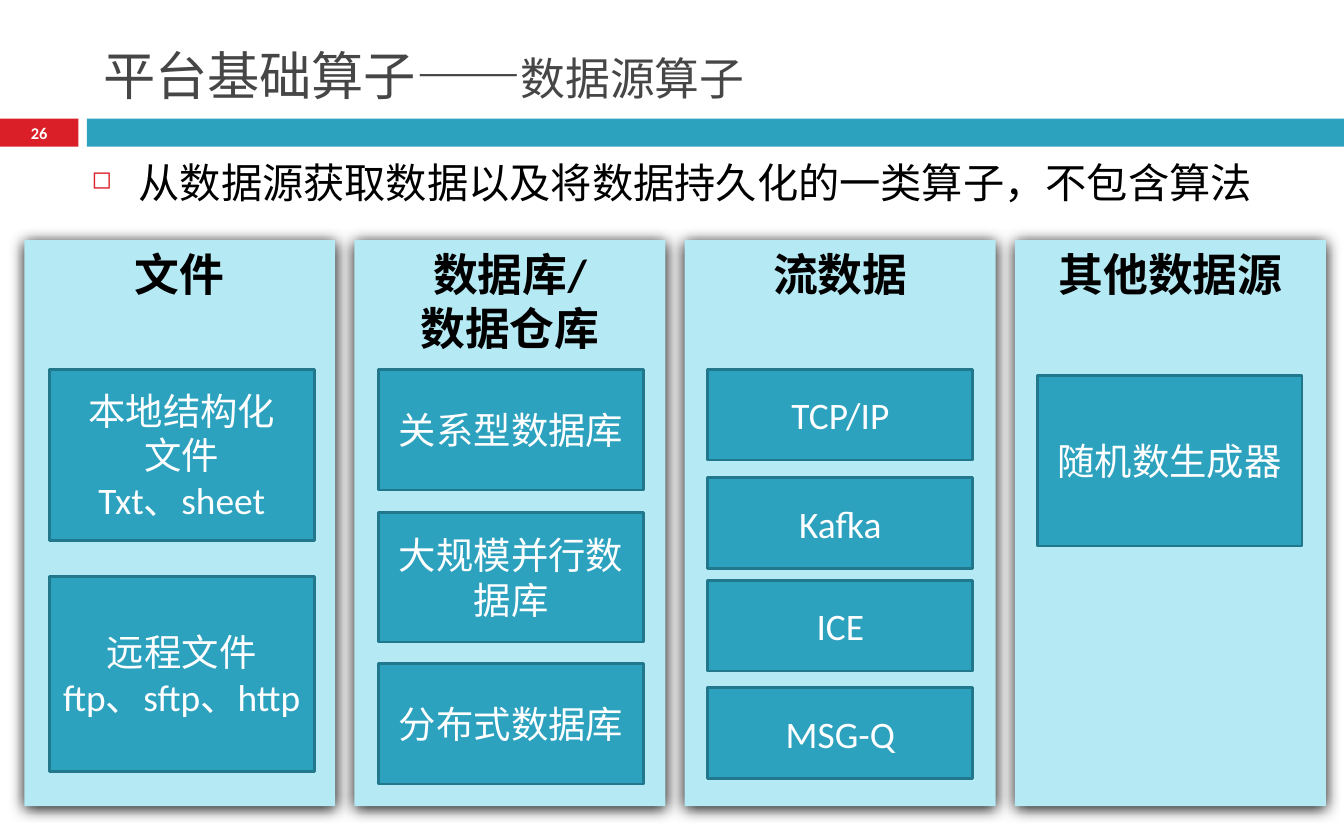
"""Builds the slide on data source operators: four columns of source types."""
from pptx import Presentation
from pptx.dml.color import RGBColor
from pptx.enum.shapes import MSO_SHAPE
from pptx.enum.text import MSO_ANCHOR, MSO_AUTO_SIZE, PP_ALIGN
from pptx.oxml import parse_xml
from pptx.oxml.ns import nsdecls
from pptx.util import Pt

RECTANGLE = MSO_SHAPE.RECTANGLE
TOP, MIDDLE, BOTTOM = MSO_ANCHOR.TOP, MSO_ANCHOR.MIDDLE, MSO_ANCHOR.BOTTOM
LEFT, CENTER = PP_ALIGN.LEFT, PP_ALIGN.CENTER
NO_AUTOFIT = MSO_AUTO_SIZE.NONE

RED = RGBColor(0xDA, 0x1F, 0x28)
TEAL = RGBColor(0x2D, 0xA2, 0xBF)
DARK_TEAL = RGBColor(0x21, 0x78, 0x8D)
PALE_TEAL = RGBColor(0xB5, 0xE9, 0xF4)
GRAY = RGBColor(0x46, 0x46, 0x46)
BLACK = RGBColor(0, 0, 0)
WHITE = RGBColor(0xFF, 0xFF, 0xFF)

LATIN_FONT = "Calibri"
CHINESE_FONT = "Noto Sans CJK SC"

TITLE = [("平台基础算子——", 28), ("数据源算子", 24)]
SUMMARY = "从数据源获取数据以及将数据持久化的一类算子，不包含算法"
PAGE_NUMBER = "26"
COLUMNS = [
    (["文件"], [
        (198, 91.5, ["本地结构化", "文件", "Txt、sheet"]),
        (309, 104.5, ["远程文件", "ftp、sftp、http"]),
    ]),
    (["数据库/", "数据仓库"], [
        (198, 64.5, ["关系型数据库"]),
        (274.5, 69.5, ["大规模并行数据库"]),
        (355.5, 64.5, ["分布式数据库"]),
    ]),
    (["流数据"], [
        (198, 48.5, ["TCP/IP"]),
        (256, 48.5, ["Kafka"]),
        (311, 48.5, ["ICE"]),
        (368.5, 48.5, ["MSG-Q"]),
    ]),
    (["其他数据源"], [
        (201, 91.5, ["随机数生成器"]),
    ]),
]

BAND_TOP, BAND_HEIGHT = 63.6, 15
COLUMN_LEFT, COLUMN_PITCH = 13, 176.9
COLUMN_TOP, COLUMN_WIDTH, COLUMN_HEIGHT = 128.7, 166.6, 303.2
BOX_LEFT, BOX_PITCH, BOX_WIDTH = 26.4, 176.4, 142

SHADOW = (
    f'<a:effectLst {nsdecls("a")}><a:outerShdw blurRad="107950" dist="12700" '
    'dir="5400000" algn="ctr" rotWithShape="0"><a:srgbClr val="000000"/>'
    '</a:outerShdw></a:effectLst>'
)


def add_rectangle(slide, left, top, width, height, fill, line=None):
    shape = slide.shapes.add_shape(RECTANGLE, Pt(left), Pt(top), Pt(width), Pt(height))
    shape.shadow.inherit = False
    shape.fill.solid()
    shape.fill.fore_color.rgb = fill
    if line is None:
        shape.line.fill.background()
    else:
        shape.line.color.rgb = line
        shape.line.width = Pt(1.5)
    return shape


def format_font(font, size, color, name=LATIN_FONT, bold=False):
    font.size = Pt(size)
    font.name = name
    font.bold = bold
    font.color.rgb = color


def write_lines(shape, lines, size, color, anchor, bold=False):
    frame = shape.text_frame
    frame.word_wrap = True
    frame.vertical_anchor = anchor
    frame.text = "\n".join(lines)
    for paragraph in frame.paragraphs:
        paragraph.alignment = CENTER
        format_font(paragraph.font, size, color, bold=bold)


def add_title(slide):
    title = slide.shapes.title
    title.left, title.top, title.width, title.height = Pt(48), Pt(10), Pt(642), Pt(50.4)
    frame = title.text_frame
    frame.word_wrap = True
    frame.auto_size = NO_AUTOFIT
    frame.vertical_anchor = BOTTOM
    paragraph = frame.paragraphs[0]
    paragraph.alignment = LEFT
    for text, size in TITLE:
        run = paragraph.add_run()
        run.text = text
        format_font(run.font, size, GRAY, CHINESE_FONT)


def add_summary(slide):
    box = slide.shapes.add_textbox(Pt(42), Pt(80.6), Pt(642), Pt(41))
    frame = box.text_frame
    frame.word_wrap = True
    paragraph = frame.paragraphs[0]
    paragraph.text = SUMMARY
    properties = paragraph._p.get_or_add_pPr()
    properties.set("marL", str(Pt(25.2)))
    properties.set("indent", str(-Pt(25.2)))
    for element in (
        f'<a:buClr {nsdecls("a")}><a:srgbClr val="{RED}"/></a:buClr>',
        f'<a:buSzPct {nsdecls("a")} val="60000"/>',
        f'<a:buChar {nsdecls("a")} char="◻"/>',
    ):
        properties.append(parse_xml(element))
    format_font(paragraph.font, 22.1, BLACK, CHINESE_FONT)


def add_columns(slide):
    for index, (heading, boxes) in enumerate(COLUMNS):
        column = add_rectangle(slide, COLUMN_LEFT + index * COLUMN_PITCH, COLUMN_TOP,
                               COLUMN_WIDTH, COLUMN_HEIGHT, PALE_TEAL)
        properties = column._element.spPr
        properties.replace(properties.find("{*}effectLst"), parse_xml(SHADOW))
        write_lines(column, heading, 24, BLACK, TOP, bold=True)
        for top, height, lines in boxes:
            box = add_rectangle(slide, BOX_LEFT + index * BOX_PITCH, top,
                                BOX_WIDTH, height, TEAL, DARK_TEAL)
            write_lines(box, lines, 20, WHITE, MIDDLE)


def main():
    presentation = Presentation()
    presentation.slide_width, presentation.slide_height = Pt(720), Pt(450)
    slide = presentation.slides.add_slide(presentation.slide_layouts[5])
    page_tab = add_rectangle(slide, 0, BAND_TOP, 42, BAND_HEIGHT, RED)
    write_lines(page_tab, [PAGE_NUMBER], 8.8, WHITE, MIDDLE, bold=True)
    add_rectangle(slide, 46.6, BAND_TOP, 673.4, BAND_HEIGHT, TEAL)
    add_title(slide)
    add_summary(slide)
    add_columns(slide)
    presentation.save("out.pptx")


if __name__ == "__main__":
    main()
